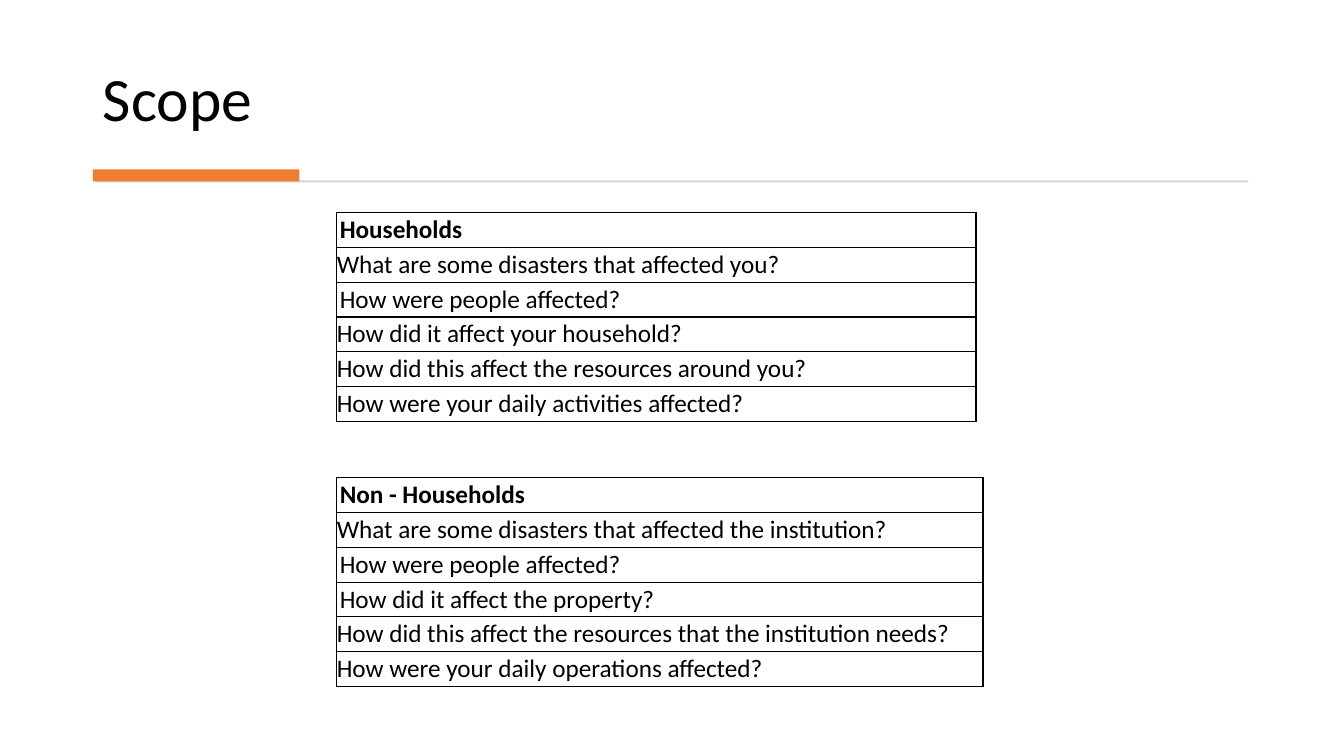
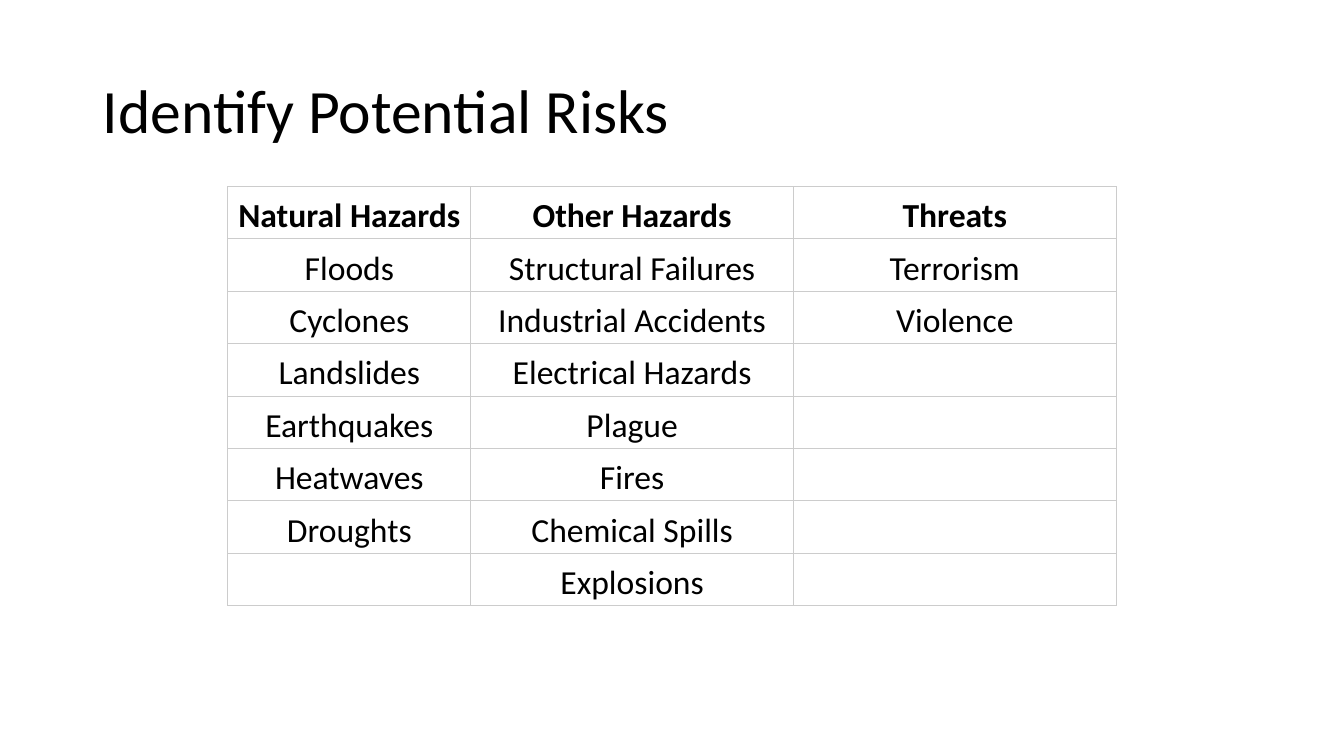
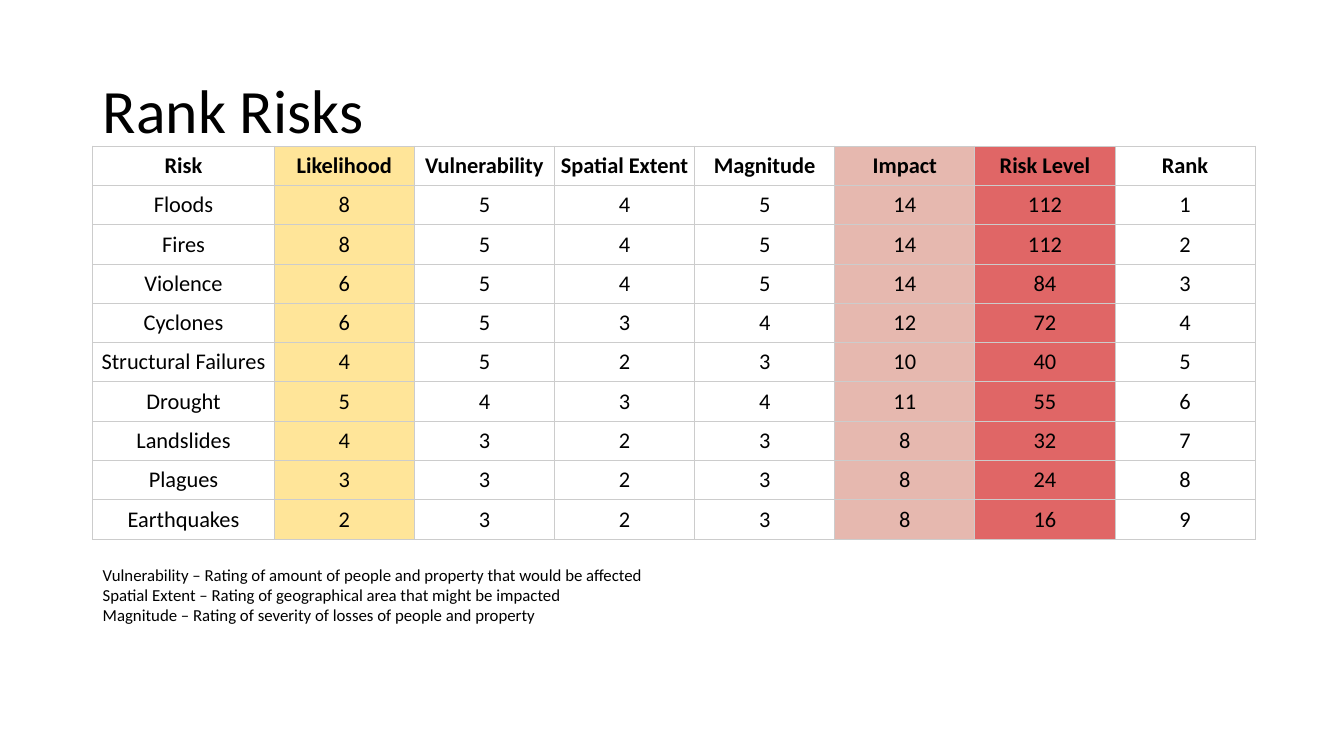
import pptx
import pptx.dml.color
import pptx.enum.shapes
import pptx.enum.text
import pptx.oxml
import pptx.oxml.ns
import pptx.util

Inches = pptx.util.Inches
Pt = pptx.util.Pt
ALIGN = pptx.enum.text.PP_ALIGN
ANCHOR = pptx.enum.text.MSO_ANCHOR

FONT = "Calibri"
BLACK, GRID = "000000", "CCCCCC"
RULE, ACCENT = "D5D5D5", "ED7D31"
YELLOW, PINK, RED = "FFE599", "E6B8AF", "E06666"
LEFT = 0.92
TITLE_AT = (LEFT, 0.4, 11.5, 1.45)

HOUSEHOLDS = [
    ["Households"],
    ["What are some disasters that affected you?"],
    ["How were people affected?"],
    ["How did it affect your household?"],
    ["How did this affect the resources around you?"],
    ["How were your daily activities affected?"],
]
NON_HOUSEHOLDS = [
    ["Non - Households"],
    ["What are some disasters that affected the institution?"],
    ["How were people affected?"],
    ["How did it affect the property?"],
    ["How did this affect the resources that the institution needs?"],
    ["How were your daily operations affected?"],
]
HAZARDS = [
    ["Natural Hazards", "Other Hazards", "Threats"],
    ["Floods", "Structural Failures", "Terrorism"],
    ["Cyclones", "Industrial Accidents", "Violence"],
    ["Landslides", "Electrical Hazards", ""],
    ["Earthquakes", "Plague", ""],
    ["Heatwaves", "Fires", ""],
    ["Droughts", "Chemical Spills", ""],
    ["", "Explosions", ""],
]
RANKING = [
    ["Risk", "Likelihood", "Vulnerability", "Spatial Extent", "Magnitude",
     "Impact", "Risk Level", "Rank"],
    ["Floods", 8, 5, 4, 5, 14, 112, 1],
    ["Fires", 8, 5, 4, 5, 14, 112, 2],
    ["Violence", 6, 5, 4, 5, 14, 84, 3],
    ["Cyclones", 6, 5, 3, 4, 12, 72, 4],
    ["Structural Failures", 4, 5, 2, 3, 10, 40, 5],
    ["Drought", 5, 4, 3, 4, 11, 55, 6],
    ["Landslides", 4, 3, 2, 3, 8, 32, 7],
    ["Plagues", 3, 3, 2, 3, 8, 24, 8],
    ["Earthquakes", 2, 3, 2, 3, 8, 16, 9],
]
DEFINITIONS = [
    "Vulnerability – Rating of amount of people and property that would be affected",
    "Spatial Extent – Rating of geographical area that might be impacted",
    "Magnitude – Rating of severity of losses of people and property",
]


def rgb(value):
    return pptx.dml.color.RGBColor.from_string(value)


def put_text(tf, *lines, size, color=BLACK, bold=False, align=ALIGN.LEFT, spacing=None):
    """Write one paragraph per line into the text frame."""
    for i, line in enumerate(lines):
        p = tf.paragraphs[0] if i == 0 else tf.add_paragraph()
        p.alignment = align
        if spacing:
            p.line_spacing = spacing
        r = p.add_run()
        r.text = line
        r.font.name, r.font.size, r.font.bold = FONT, Pt(size), bold
        r.font.color.rgb = rgb(color)


def add_titled_slide(prs, title, at=TITLE_AT, anchor=ANCHOR.MIDDLE):
    s = prs.slides.add_slide(prs.slide_layouts[5])
    sp = s.shapes.title
    sp.left, sp.top, sp.width, sp.height = map(Inches, at)
    tf = sp.text_frame
    tf.auto_size = pptx.enum.text.MSO_AUTO_SIZE.NONE
    tf.word_wrap = True
    tf.vertical_anchor = anchor
    put_text(tf, title, size=44, spacing=0.9)
    return s


def add_bar(s, at, color):
    sp = s.shapes.add_shape(pptx.enum.shapes.MSO_SHAPE.RECTANGLE, *map(Inches, at))
    sp.shadow.inherit = False
    sp.fill.solid()
    sp.fill.fore_color.rgb = rgb(color)
    sp.line.fill.background()


def set_borders(cell, color, width):
    tcPr = cell._tc.get_or_add_tcPr()
    for side in "LRTB":
        tcPr.append(pptx.oxml.parse_xml(
            f'<a:ln{side} {pptx.oxml.ns.nsdecls("a")} w="{Pt(width)}"><a:solidFill>'
            f'<a:srgbClr val="{color}"/></a:solidFill></a:ln{side}>'))


def add_grid(s, left, top, widths, row_height, rows, *, size, border=GRID, line=0.75,
             align=ALIGN.CENTER, anchor=ANCHOR.BOTTOM, fills=None, flush=()):
    """Add a table with a bold first row; fills maps columns to colours,
    flush lists the rows without side margins."""
    table = s.shapes.add_table(len(rows), len(widths), Inches(left), Inches(top),
                               Inches(sum(widths)), Inches(row_height * len(rows))).table
    table.first_row = table.horz_banding = False
    for column, width in zip(table.columns, widths):
        column.width = Inches(width)
    for i, row in enumerate(rows):
        table.rows[i].height = Inches(row_height)
        for j, value in enumerate(row):
            cell = table.cell(i, j)
            cell.margin_left = cell.margin_right = Inches(0 if i in flush else 0.03)
            cell.margin_top = cell.margin_bottom = Inches(0.02)
            cell.vertical_anchor = anchor
            set_borders(cell, border, line)
            if fills and j in fills:
                cell.fill.solid()
                cell.fill.fore_color.rgb = rgb(fills[j])
            else:
                cell.fill.background()
            if value != "":
                put_text(cell.text_frame, str(value), size=size, bold=i == 0, align=align)


def add_scope(prs):
    s = add_titled_slide(prs, "Scope", (LEFT, 0.28, 11.49, 1.11), ANCHOR.BOTTOM)
    add_bar(s, (0.95, 1.79, 11.43, 0.02), RULE)
    add_bar(s, (LEFT, 1.68, 2.05, 0.12), ACCENT)
    for top, width, rows, flush in ((2.11, 6.34, HOUSEHOLDS, (1, 3, 4, 5)),
                                    (4.74, 6.41, NON_HOUSEHOLDS, (1, 4, 5))):
        add_grid(s, 3.34, top, [width], 0.34, rows, size=18, border=BLACK, line=1,
                 align=ALIGN.LEFT, flush=flush)


def add_hazards(prs):
    s = add_titled_slide(prs, "Identify Potential Risks")
    add_grid(s, 2.26, 1.85, [2.41, 3.2, 3.2], 0.52, HAZARDS, size=24)


def add_ranking(prs):
    s = add_titled_slide(prs, "Rank Risks")
    add_grid(s, LEFT, 1.45, [1.8] + [1.39] * 7, 0.39, RANKING, size=16,
             anchor=ANCHOR.MIDDLE, fills={1: YELLOW, 5: PINK, 6: RED})
    tf = s.shapes.add_textbox(*map(Inches, (LEFT, 5.55, 11.22, 0.71))).text_frame
    tf.word_wrap = True
    put_text(tf, *DEFINITIONS, size=12)


def main():
    prs = pptx.Presentation()
    prs.slide_width, prs.slide_height = Inches(13.33), Inches(7.5)
    add_scope(prs)
    add_hazards(prs)
    add_ranking(prs)
    prs.save("out.pptx")


if __name__ == "__main__":
    main()
